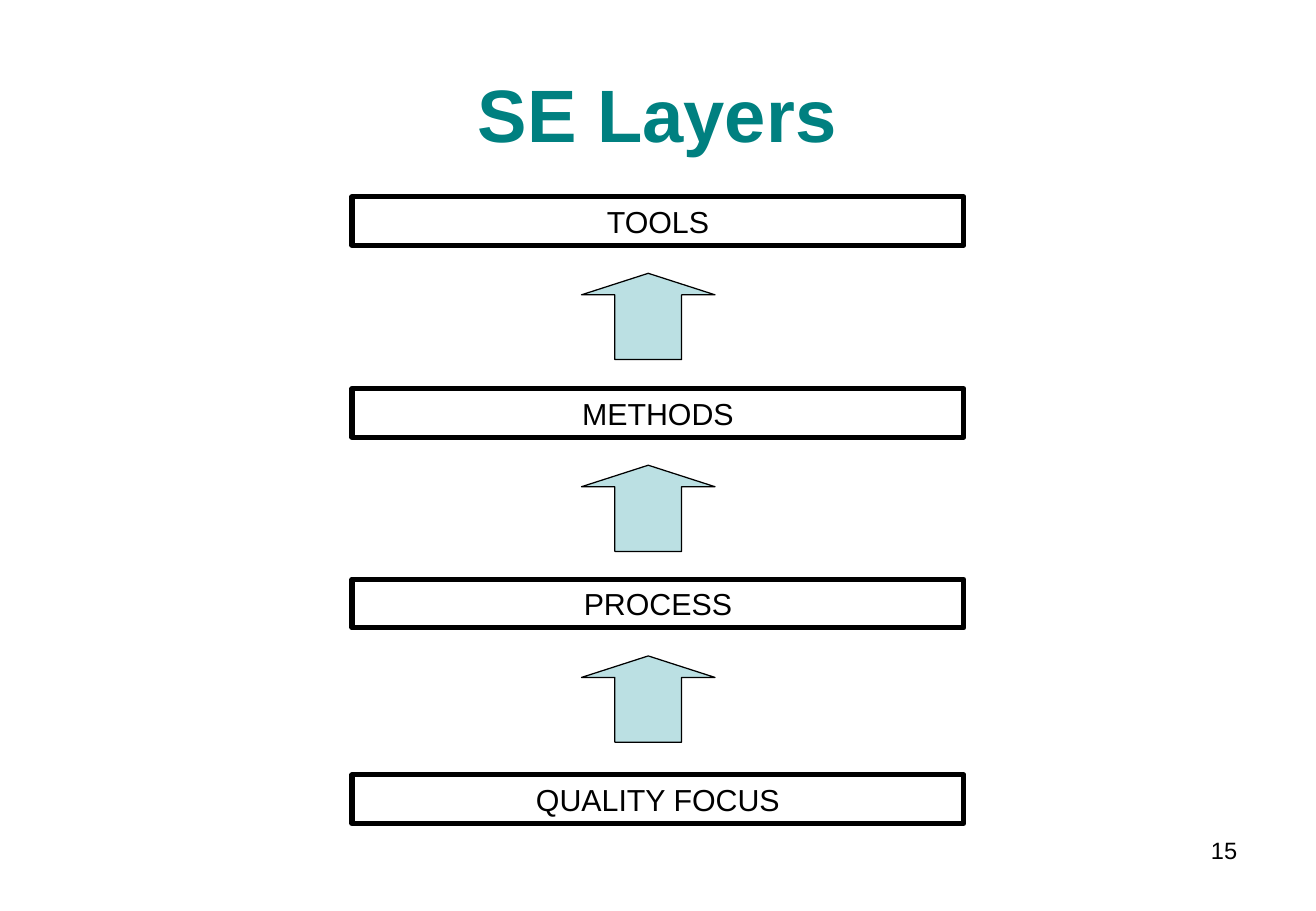
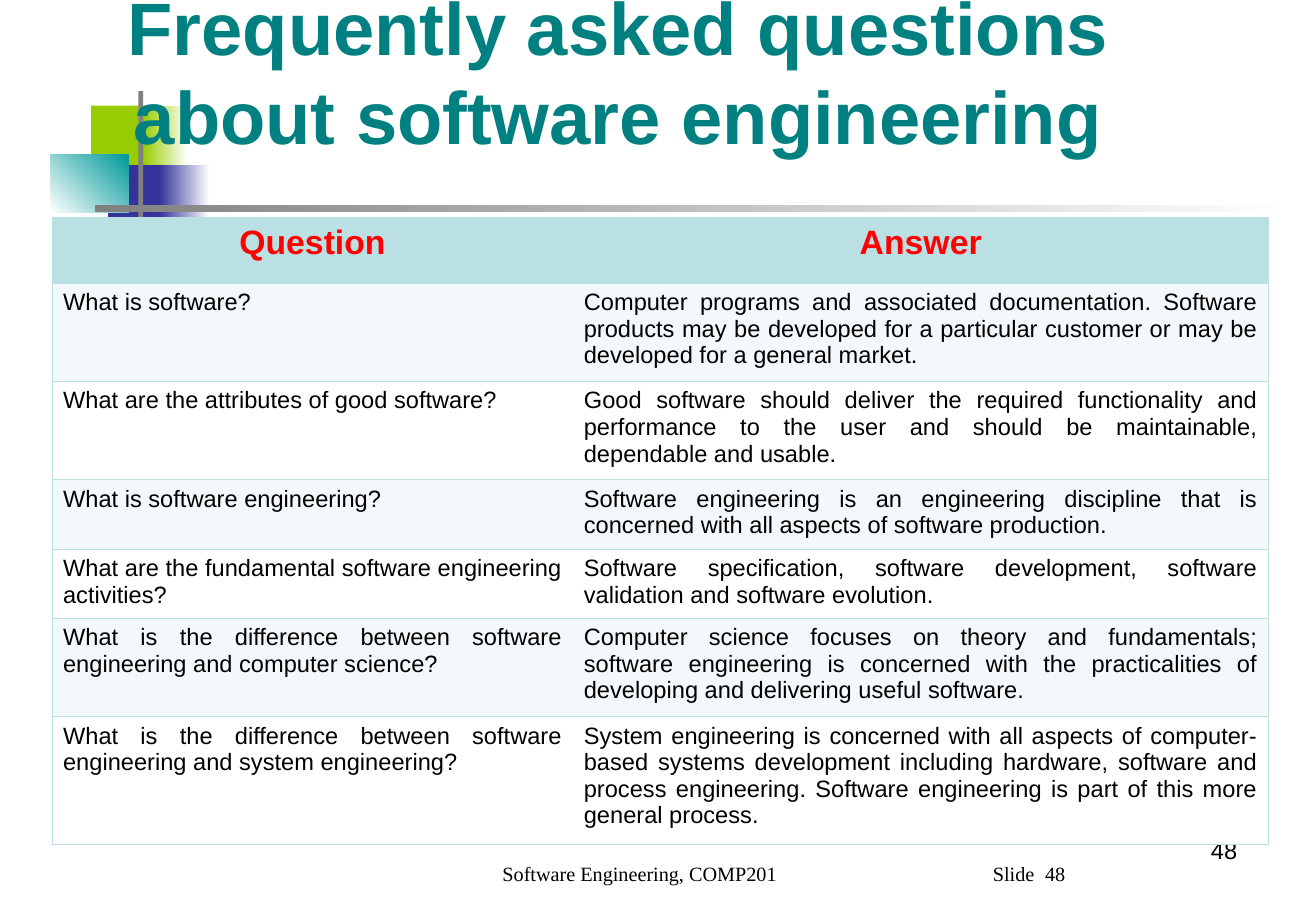
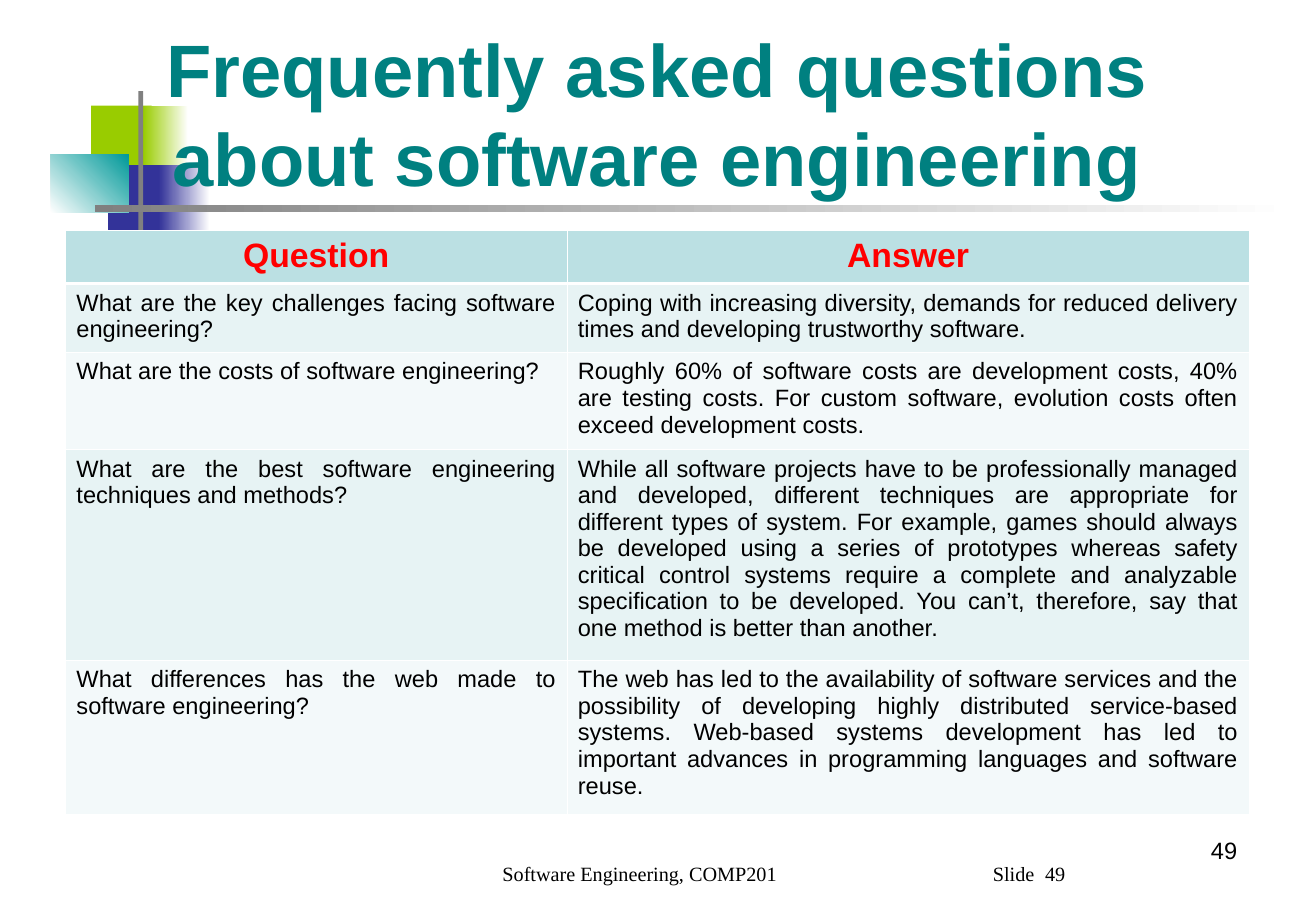
from lxml.etree import SubElement
from pptx import Presentation
from pptx.dml.color import RGBColor
from pptx.enum.shapes import MSO_SHAPE
from pptx.enum.text import MSO_ANCHOR, PP_ALIGN
from pptx.oxml.ns import qn
from pptx.util import Pt

EMU_PER_PX = 9144  # 100 px to the inch
COLORS = {
    "title": "008080", "text": "000000", "header_text": "FF0000",
    "pale_teal": "BBE0E3", "band": "E7F3F4", "light_band": "F3F9FA",
    "white": "FFFFFF", "green": "99CC00", "indigo": "333399",
    "teal": "009999", "gray": "808080",
}
FAQ_TITLE = "Frequently asked questions about software engineering"
TITLE_BOX = (54, 30, 975, 125)
NUMBER_BOX = (776, 683, 253, 52)
FOOTER_BOX = (104, 704, 888, 30)
FOOTER_TABS = (300, 704, 747)

LAYERS = [("TOOLS", 162), ("METHODS", 320), ("PROCESS", 477), ("QUALITY FOCUS", 638)]

FAQ_BASICS = [
    ("What is software?",
     "Computer programs and associated documentation. Software products may be "
     "developed for a particular customer or may be developed for a general market."),
    ("What are the attributes of good software?",
     "Good software should deliver the required functionality and performance to the "
     "user and should be maintainable, dependable and usable."),
    ("What is software engineering?",
     "Software engineering is an engineering discipline that is concerned with all "
     "aspects of software production."),
    ("What are the fundamental software engineering activities?",
     "Software specification, software development, software validation and software "
     "evolution."),
    ("What is the difference between software engineering and computer science?",
     "Computer science focuses on theory and fundamentals; software engineering is "
     "concerned with the practicalities of developing and delivering useful software."),
    ("What is the difference between software engineering and system engineering?",
     "System engineering is concerned with all aspects of computer-based systems "
     "development including hardware, software and process engineering. Software "
     "engineering is part of this more general process."),
]
FAQ_PRACTICE = [
    ("What are the key challenges facing software engineering?",
     "Coping with increasing diversity, demands for reduced delivery times and "
     "developing trustworthy software."),
    ("What are the costs of software engineering?",
     "Roughly 60% of software costs are development costs, 40% are testing costs. For "
     "custom software, evolution costs often exceed development costs."),
    ("What are the best software engineering techniques and methods?",
     "While all software projects have to be professionally managed and developed, "
     "different techniques are appropriate for different types of system. For example, "
     "games should always be developed using a series of prototypes whereas safety "
     "critical control systems require a complete and analyzable specification to be "
     "developed. You can’t, therefore, say that one method is better than another."),
    ("What differences has the web made to software engineering?",
     "The web has led to the availability of software services and the possibility of "
     "developing highly distributed service-based systems. Web-based systems "
     "development has led to important advances in programming languages and software "
     "reuse."),
]


def px(n):
    return n * EMU_PER_PX


def rgb(name):
    return RGBColor.from_string(COLORS[name])


def write(tf, text, size=14, color="text", bold=False, font="Arial",
          align=PP_ALIGN.LEFT, anchor=MSO_ANCHOR.TOP):
    tf.word_wrap = True
    tf.vertical_anchor = anchor
    p = tf.paragraphs[0]
    p.alignment = align
    r = p.add_run()
    r.text = text
    r.font.size, r.font.bold, r.font.name = Pt(size), bold, font
    r.font.color.rgb = rgb(color)
    return p


def add_text(s, box, text, **fmt):
    return write(s.shapes.add_textbox(*map(px, box)).text_frame, text, **fmt)


def add_block(s, box, fill=None, kind=MSO_SHAPE.RECTANGLE, line=0, angle=0):
    """Add a shape; fill is a colour name, a pair for a gradient, or None."""
    sp = s.shapes.add_shape(kind, *map(px, box))
    sp.shadow.inherit = False
    if fill is None:
        sp.fill.background()
    elif isinstance(fill, tuple):
        sp.fill.gradient()
        sp.fill.gradient_angle = angle
        for stop, name in zip(sp.fill.gradient_stops, fill):
            stop.color.rgb = rgb(name)
    else:
        sp.fill.solid()
        sp.fill.fore_color.rgb = rgb(fill)
    if line:
        sp.line.width = Pt(line)
        sp.line.color.rgb = rgb("text")
    else:
        sp.line.fill.background()
    return sp


def add_title(s, text, box=TITLE_BOX):
    add_text(s, box, text, size=44, color="title", bold=True,
             align=PP_ALIGN.CENTER, anchor=MSO_ANCHOR.MIDDLE)


def add_number(s, number):
    add_text(s, NUMBER_BOX, str(number), align=PP_ALIGN.RIGHT)


def add_emblem(s, left, top):
    """Overlapping colour squares with a cross of gray bars."""
    parts = [
        ((33, 12, 50, 54), "green", 0),
        ((76, 12, 37, 54), ("green", "white"), 0),
        ((47, 61, 48, 54), "indigo", 0),
        ((89, 61, 42, 54), ("indigo", "white"), 0),
        ((0, 52, 64, 48), ("white", "teal"), 45),
        ((72, 0, 4, 121), "gray", 0),
        ((36, 94, 987, 6), ("gray", "white"), 0),
    ]
    for (x, y, w, h), fill, angle in parts:
        add_block(s, (left + x, top + y, w, h), fill, angle=angle)


def add_footer(s, number):
    p = add_text(s, FOOTER_BOX, f"\tSoftware Engineering, COMP201\tSlide\t{number}",
                 size=12, font="Times New Roman")
    tabs = SubElement(p._p.get_or_add_pPr(), qn("a:tabLst"))
    for pos in FOOTER_TABS:
        SubElement(tabs, qn("a:tab"), pos=str(px(pos)), algn="l")


def set_borders(cell, color, **widths):
    """Draw the sides L, R, T, B at the given point widths; 0 means no line."""
    tc_pr = cell._tc.get_or_add_tcPr()
    for side in "LRTB":
        width = widths[side]
        ln = SubElement(tc_pr, qn(f"a:ln{side}"), w=str(int(Pt(width))))
        if width:
            fill = SubElement(ln, qn("a:solidFill"))
            SubElement(fill, qn("a:srgbClr"), val=COLORS[color])
        else:
            SubElement(ln, qn("a:noFill"))


def add_faq_table(s, left, top, cols, heights, faq, bands, border, inner=0.45, rule=0.45):
    """inner is the width of the middle line, rule that of the line under the header."""
    table = s.shapes.add_table(len(heights), len(cols), px(left), px(top),
                               px(sum(cols)), px(sum(heights))).table
    table.first_row = table.horz_banding = False
    for col, width in zip(table.columns, cols):
        col.width = px(width)
    for i, texts in enumerate([("Question", "Answer"), *faq]):
        table.rows[i].height = px(heights[i])
        for j, text in enumerate(texts):
            cell = table.cell(i, j)
            cell.margin_left = cell.margin_right = px(9)
            cell.margin_top = cell.margin_bottom = px(5)
            set_borders(cell, border, L=inner if j else 0.45, R=0.45 if j else inner,
                        T=rule if i == 1 else 0.45, B=rule if i == 0 else 0.45)
            cell.fill.solid()
            cell.fill.fore_color.rgb = rgb(bands[(i - 1) % 2] if i else "pale_teal")
            if i:
                write(cell.text_frame, text, align=PP_ALIGN.JUSTIFY)
            else:
                write(cell.text_frame, text, size=20, color="header_text", bold=True,
                      align=PP_ALIGN.CENTER)


def layers_slide(s, number):
    add_title(s, "SE Layers")
    for name, top in LAYERS:
        sp = add_block(s, (290, top, 504, 40), line=3)
        write(sp.text_frame, name, size=18, align=PP_ALIGN.CENTER,
              anchor=MSO_ANCHOR.MIDDLE)
    for _, top in LAYERS[:-1]:
        sp = add_block(s, (479, top + 63, 110, 71), "pale_teal", MSO_SHAPE.UP_ARROW, 0.75)
        sp.adjustments[0], sp.adjustments[1] = 0.5, 0.25
    add_number(s, number)


def faq_slide(s, number, title_box, **table):
    add_emblem(s, 42, 75)
    add_footer(s, number)
    add_title(s, FAQ_TITLE, title_box)
    add_number(s, number)
    add_faq_table(s, **table)


def main():
    prs = Presentation()
    prs.slide_width, prs.slide_height = px(1084), px(750)
    slides = [prs.slides.add_slide(prs.slide_layouts[6]) for _ in range(3)]
    layers_slide(slides[0], 15)
    faq_slide(slides[1], 48, (54, 0, 911, 116), left=43, top=179, cols=(429, 573),
              heights=(54, 81, 81, 57, 57, 81, 105), faq=FAQ_BASICS,
              bands=("light_band", "white"), border="pale_teal", inner=0)
    faq_slide(slides[2], 49, TITLE_BOX, left=54, top=190, cols=(413, 562),
              heights=(43, 54, 78, 171, 124), faq=FAQ_PRACTICE,
              bands=("band", "light_band"), border="white", rule=1.47)
    prs.save("out.pptx")


if __name__ == "__main__":
    main()
